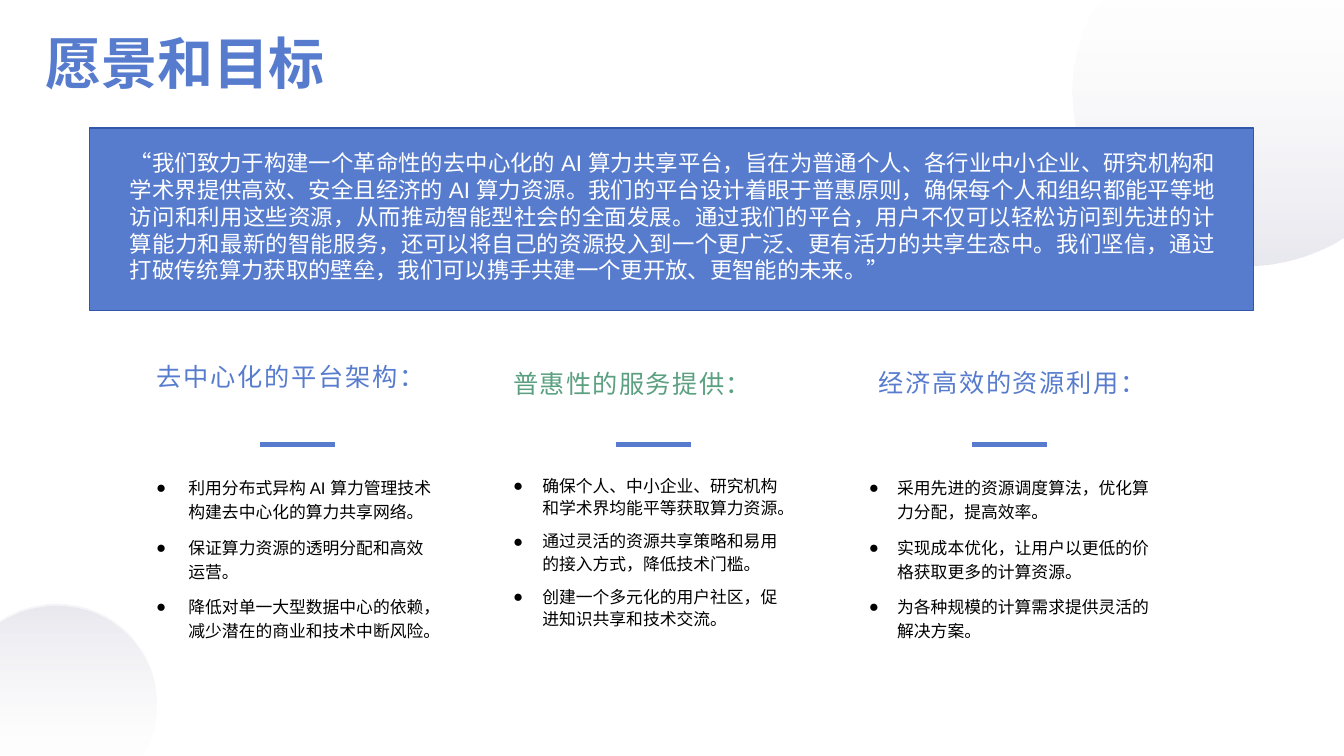
from dataclasses import dataclass

from lxml import etree
from pptx import Presentation
from pptx.dml.color import RGBColor
from pptx.enum.shapes import MSO_CONNECTOR, MSO_SHAPE
from pptx.enum.text import MSO_ANCHOR, MSO_AUTO_SIZE, PP_ALIGN
from pptx.oxml.ns import qn
from pptx.util import Pt

PX = 9144  # 100 px to the inch


@dataclass(frozen=True)
class Theme:
    blue: str = "577CCE"
    border: str = "3257AA"
    green: str = "5BA080"
    white: str = "FFFFFF"
    black: str = "000000"
    pale: str = "D8D8E4"
    grey: str = "BEBED2"
    latin: str = "Arial"
    chinese: str = "Noto Sans CJK SC"
    title: int = 40
    heading: int = 18
    quote: int = 16
    body: int = 12


theme = Theme()


def color(value):
    return RGBColor.from_string(value)


def add_text(parent, place, paragraphs, size, ink, font=theme.latin, bold=None, align=None,
             anchor=MSO_ANCHOR.TOP, fit=MSO_AUTO_SIZE.NONE, leading=None, after=None,
             indent=0, tracking=0):
    """Add a text box; an indent in px also turns its paragraphs into bullets."""
    frame = parent.shapes.add_textbox(*(n * PX for n in place)).text_frame
    frame.word_wrap = True
    frame.auto_size = fit
    frame.vertical_anchor = anchor
    for index, text in enumerate(paragraphs):
        para = frame.add_paragraph() if index else frame.paragraphs[0]
        para.alignment = align
        para.line_spacing = leading
        para.space_after = after
        if indent:
            properties = para._p.get_or_add_pPr()
            properties.set("marL", str(indent * PX))
            properties.set("indent", str(-indent * PX))
            etree.SubElement(properties, qn("a:buFont"), typeface=theme.latin)
            etree.SubElement(properties, qn("a:buChar"), char="●")
        span = para.add_run()
        span.text = text
        span.font.size = Pt(size)
        span.font.bold = bold
        span.font.color.rgb = color(ink)
        span.font.name = font
        properties = span._r.get_or_add_rPr()
        properties.set("lang", "zh-CN")
        if tracking:
            properties.set("spc", str(tracking))
        etree.SubElement(properties, qn("a:ea"), typeface=theme.chinese)


deck = Presentation()
deck.slide_width, deck.slide_height = 1333 * PX, 750 * PX
page = deck.slides.add_slide(deck.slide_layouts[6])

# Corner discs: three straight sides, then three curves of three points each
start = (28, 0)
sides = [(270, 0), (270, 234), (256, 242)]
curves = [(231, 255), (203, 263), (173, 263),
          (77, 263), (0, 187), (0, 92),
          (0, 63), (7, 35), (21, 11)]
layers = [
    (theme.pale, 1064, 0, 1, 0),
    (theme.pale, 0, 599, 0.575, 180),
    (theme.grey, 1064, 0, 1, 0),
    (theme.grey, 0, 601, 0.575, 180),
]
for tint, left, top, zoom, turn in layers:
    builder = page.shapes.build_freeform(*start, scale=PX * zoom)
    builder.add_line_segments(sides + curves, close=True)
    disc = builder.convert_to_shape()
    outline = next(disc._element.iter(qn("a:path")))
    corners = outline.findall(qn("a:lnTo"))[len(sides):]
    for first in range(0, len(curves), 3):
        bezier = etree.Element(qn("a:cubicBezTo"))
        corners[first].addprevious(bezier)
        for corner in corners[first:first + 3]:
            bezier.append(corner[0])
            outline.remove(corner)
    disc.left, disc.top, disc.rotation = left * PX, top * PX, turn
    disc.shadow.inherit = False
    disc.line.fill.background()
    disc.fill.gradient()
    disc.fill.gradient_angle = 270
    stops = zip(disc.fill.gradient_stops, (theme.white, tint), (10, 24), (0, 1))
    for stop, shade, opacity, position in stops:
        stop.color.rgb = color(shade)
        stop.position = position
        etree.SubElement(stop._gs[0], qn("a:alpha"), val=str(opacity * 1000))

add_text(page, (35, 38, 1266, 55), ["愿景和目标"], theme.title, theme.blue, theme.chinese,
         bold=True, anchor=MSO_ANCHOR.MIDDLE, leading=0.9)

vision = (
    "“我们致力于构建一个革命性的去中心化的 AI 算力共享平台，旨在为普通个人、各行业中小企业、"
    "研究机构和学术界提供高效、安全且经济的 AI 算力资源。我们的平台设计着眼于普惠原则，"
    "确保每个人和组织都能平等地访问和利用这些资源，从而推动智能型社会的全面发展。"
    "通过我们的平台，用户不仅可以轻松访问到先进的计算能力和最新的智能服务，"
    "还可以将自己的资源投入到一个更广泛、更有活力的共享生态中。我们坚信，"
    "通过打破传统算力获取的壁垒，我们可以携手共建一个更开放、更智能的未来。”"
)
banner = page.shapes.add_group_shape()
panel = banner.shapes.add_shape(MSO_SHAPE.RECTANGLE, *(n * PX for n in (89, 127, 1154, 181)))
panel.shadow.inherit = False
panel.fill.solid()
panel.fill.fore_color.rgb = color(theme.blue)
panel.line.color.rgb = color(theme.border)
panel.line.width = Pt(1)
add_text(banner, (119, 143, 1097, 145), [vision], theme.quote, theme.white,
         align=PP_ALIGN.JUSTIFY, fit=MSO_AUTO_SIZE.SHAPE_TO_FIT_TEXT)

# Left edge, heading, its place and format, then bullet format and bullets
goals = [
    (145, "去中心化的平台架构：", (145, 354), dict(ink=theme.blue, tracking=130),
     dict(indent=32, leading=1.2),
     ["利用分布式异构 AI 算力管理技术构建去中心化的算力共享网络。",
      "保证算力资源的透明分配和高效运营。",
      "降低对单一大型数据中心的依赖，减少潜在的商业和技术中断风险。"]),
    (499, "普惠性的服务提供：", (499, 354),
     dict(ink=theme.green, tracking=100, leading=1.2, after=Pt(8)),
     dict(indent=29, leading=1.1),
     ["确保个人、中小企业、研究机构和学术界均能平等获取算力资源。",
      "通过灵活的资源共享策略和易用的接入方式，降低技术门槛。",
      "创建一个多元化的用户社区，促进知识共享和技术交流。"]),
    (852, "经济高效的资源利用：", (861, 359), dict(ink=theme.blue, tracking=130),
     dict(indent=28, leading=1.2),
     ["采用先进的资源调度算法，优化算力分配，提高效率。",
      "实现成本优化，让用户以更低的价格获取更多的计算资源。",
      "为各种规模的计算需求提供灵活的解决方案。"]),
]
for index, goal in enumerate(goals):
    left, heading, corner, heading_format, bullet_format, bullets = goal
    add_text(page, (left, 465, 298, 262), bullets, theme.body, theme.black,
             after=Pt(8), **bullet_format)
    add_text(page, (*corner, 298, 73), [heading], theme.heading, font=theme.chinese,
             **heading_format)
    rule_left = 258 + 353 * index
    ends = (rule_left, 441, rule_left + 74, 441)
    rule = page.shapes.add_connector(MSO_CONNECTOR.STRAIGHT, *(n * PX for n in ends))
    rule.line.color.rgb = color(theme.blue)
    rule.line.width = Pt(4)
    etree.SubElement(rule._element.spPr, qn("a:effectLst"))

deck.save("out.pptx")
